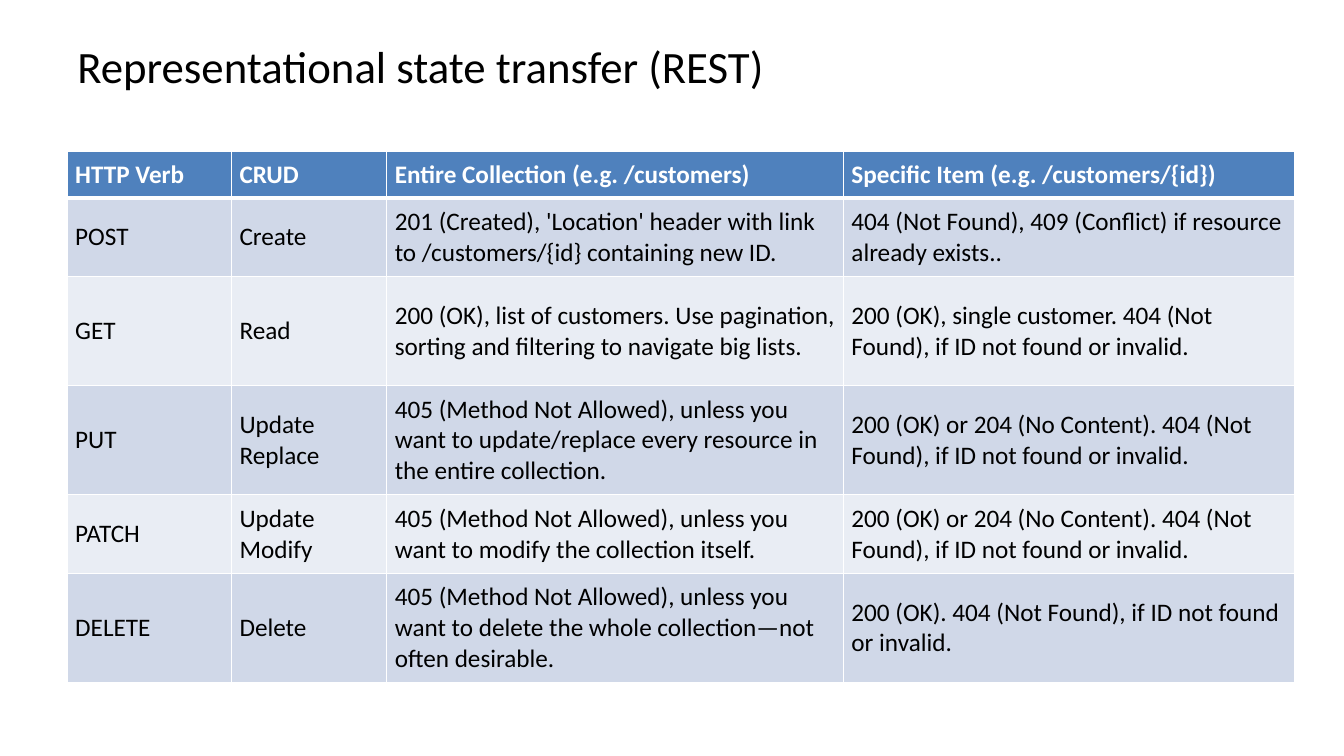
from lxml.etree import SubElement as Sub
from pptx import Presentation
from pptx.dml.color import RGBColor as RGB
from pptx.enum.text import MSO_ANCHOR as Anchor, PP_ALIGN as Align
from pptx.oxml.ns import qn
from pptx.util import Pt

FONT = "Calibri"
HUES = {
    "text": "000000",
    "white": "FFFFFF",
    "head": "4F81BD",
    "odd": "D0D8E8",
    "even": "E9EDF4",
}
COLS = [117.4, 110.9, 326.2, 322.6]
ROWS = [33, 56, 78, 78, 56, 78]
VERBS = [
    ["HTTP Verb", "CRUD", "Entire Collection (e.g. /customers)",
     "Specific Item (e.g. /customers/{id})"],
    ["POST", "Create",
     "201 (Created), 'Location' header with link to /customers/{id} containing new ID.",
     "404 (Not Found), 409 (Conflict) if resource already exists.."],
    ["GET", "Read",
     "200 (OK), list of customers. Use pagination, sorting and filtering to navigate big lists.",
     "200 (OK), single customer. 404 (Not Found), if ID not found or invalid."],
    ["PUT", "Update\nReplace",
     "405 (Method Not Allowed), unless you want to update/replace every resource "
     "in the entire collection.",
     "200 (OK) or 204 (No Content). 404 (Not Found), if ID not found or invalid."],
    ["PATCH", "Update\nModify",
     "405 (Method Not Allowed), unless you want to modify the collection itself.",
     "200 (OK) or 204 (No Content). 404 (Not Found), if ID not found or invalid."],
    ["DELETE", "Delete",
     "405 (Method Not Allowed), unless you want to delete the whole collection—not "
     "often desirable.",
     "200 (OK). 404 (Not Found), if ID not found or invalid."],
]


def hue(name):
    return RGB.from_string(HUES[name])


def style(frame, size, color, bold=False):
    for para in frame.paragraphs:
        para.alignment = Align.LEFT
        font = para.font
        font.name, font.size, font.bold = FONT, Pt(size), bold
        font.color.rgb = hue(color)


def add_title(slide, text, left, top, width, height):
    title = slide.shapes.title
    title.left, title.top = Pt(left), Pt(top)
    title.width, title.height = Pt(width), Pt(height)
    frame = title.text_frame
    frame.text = text
    frame.word_wrap = True
    frame.vertical_anchor = Anchor.MIDDLE
    style(frame, 32, "text")


def add_edges(cell, widths):
    props = cell._tc.get_or_add_tcPr()
    for side, width in widths.items():
        line = Sub(props, qn(f"a:ln{side}"), w=str(Pt(width)))
        fill = Sub(line, qn("a:solidFill"))
        Sub(fill, qn("a:srgbClr"), val=HUES["white"])


def fill_cell(cell, text, row):
    head = row == 0
    cell.text = text
    cell.vertical_anchor = Anchor.BOTTOM if head else Anchor.MIDDLE
    cell.margin_left = cell.margin_right = Pt(5.76)
    cell.margin_top = cell.margin_bottom = Pt(5.76)
    style(cell.text_frame, 18, "white" if head else "text", head)
    # Borders come before the fill in the cell's XML
    add_edges(cell, {"L": 1, "R": 1, "T": 3 if row == 1 else 1, "B": 3 if head else 1})
    cell.fill.solid()
    cell.fill.fore_color.rgb = hue("head" if head else "odd" if row % 2 else "even")


def add_verbs(slide, left, top):
    table = slide.shapes.add_table(
        len(ROWS), len(COLS), Pt(left), Pt(top), Pt(sum(COLS)), Pt(sum(ROWS))
    ).table
    for col, width in zip(table.columns, COLS):
        col.width = Pt(width)
    for row, height in zip(table.rows, ROWS):
        row.height = Pt(height)
    for r, texts in enumerate(VERBS):
        for c, text in enumerate(texts):
            fill_cell(table.cell(r, c), text, r)


def main():
    deck = Presentation()
    deck.slide_width, deck.slide_height = Pt(960), Pt(540)
    slide = deck.slides.add_slide(deck.slide_layouts[5])
    # Heading
    add_title(slide, "Representational state transfer (REST)", 48, 21.6, 864, 50.4)
    # Table of verbs and responses
    add_verbs(slide, 48, 108)
    deck.save("out.pptx")


if __name__ == "__main__":
    main()
